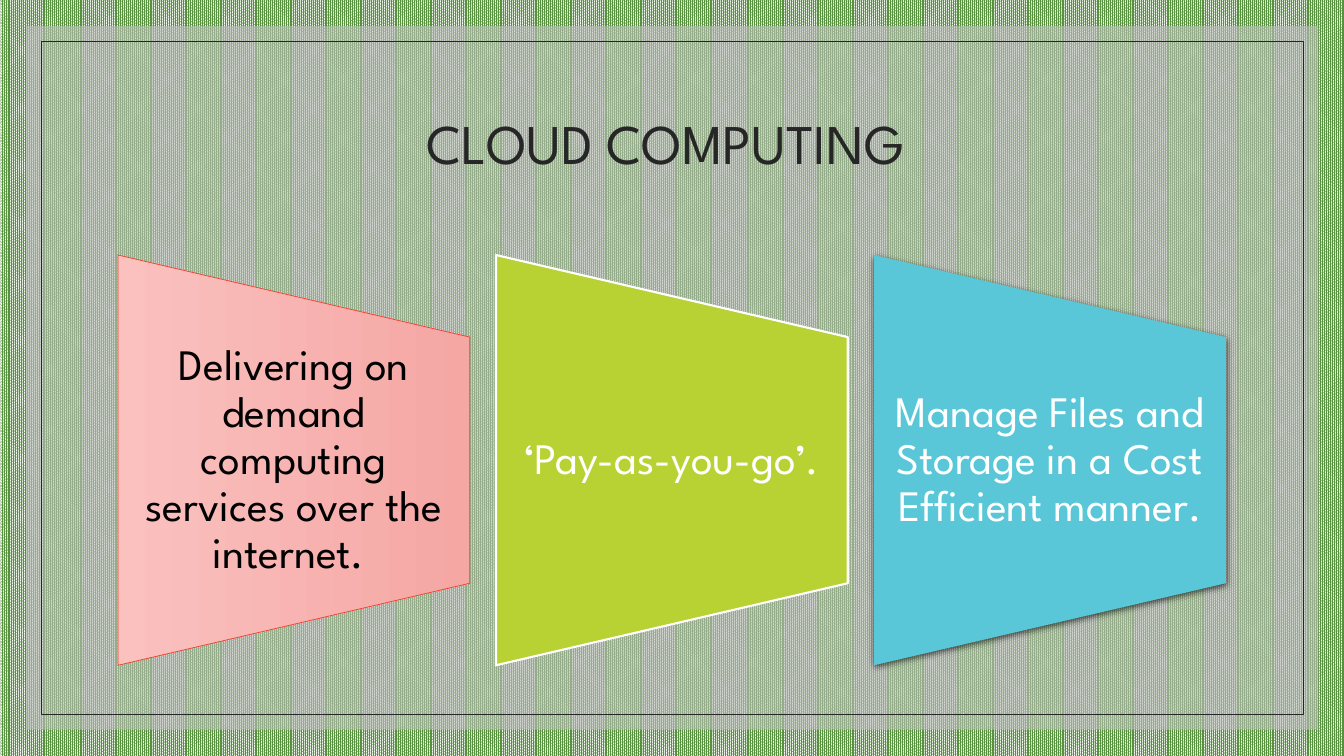
from lxml import etree
from pptx import Presentation
from pptx.dml.color import RGBColor
from pptx.enum.dml import MSO_PATTERN
from pptx.enum.shapes import MSO_SHAPE as Preset
from pptx.enum.text import MSO_ANCHOR as Anchor, PP_ALIGN as Align
from pptx.oxml import parse_xml
from pptx.oxml.ns import nsdecls, qn
from pptx.util import Inches, Pt

FONT = "League Spartan"
INK = "262626"
CARDS = [
    ("Delivering on demand computing services over the internet. ",
     "000000", ["FAC1BF", "F5A7A4"], ("F03F2B", 0.5), False),
    ("\u2018Pay-as-you-go\u2019.",
     "FFFFFF", ["B8D233"], ("FFFFFF", 1.5), False),
    ("Manage Files and Storage in a Cost Efficient manner.",
     "FFFFFF", ["59C7D8"], None, True),
]


def paint(target, color):
    target.rgb = RGBColor.from_string(color)


def add_preset(page, preset, box, colors=(), line=None):
    shape = page.shapes.add_shape(preset, *map(Inches, box))
    shape.shadow.inherit = False
    if len(colors) == 2:
        shape.fill.gradient()
        shape.fill.gradient_angle = 270
        for stop, color in zip(shape.fill.gradient_stops, colors):
            paint(stop.color, color)
    elif colors:
        shape.fill.solid()
        paint(shape.fill.fore_color, colors[0])
    else:
        shape.fill.background()
    if line:
        color, width = line
        paint(shape.line.color, color)
        shape.line.width = Pt(width)
    else:
        shape.line.fill.background()
    return shape


def add_text(page, box, text, size, color, side=0.1):
    frame = page.shapes.add_textbox(*map(Inches, box)).text_frame
    frame.word_wrap = True
    frame.vertical_anchor = Anchor.MIDDLE
    frame.margin_left = frame.margin_right = Inches(side)
    frame.margin_top = frame.margin_bottom = 0
    para = frame.paragraphs[0]
    para.text = text
    para.alignment = Align.CENTER
    para.line_spacing = 0.9
    para.font.name = FONT
    para.font.size = Pt(size)
    paint(para.font.color, color)


def add_shadow(shape):
    effects = shape.element.spPr.find(qn("a:effectLst"))
    effects.append(parse_xml(
        f'<a:outerShdw {nsdecls("a")} blurRad="{Pt(4.5)}" dist="{Pt(1.5)}" '
        'dir="5400000" rotWithShape="0"><a:srgbClr val="000000">'
        '<a:alpha val="63000"/></a:srgbClr></a:outerShdw>'))


def add_backdrop(page, box):
    fill = page.background.fill
    fill.patterned()
    fill.pattern = MSO_PATTERN.PERCENT_90
    paint(fill.fore_color, "57903F")
    paint(fill.back_color, "FFFFFF")
    panel = add_preset(page, Preset.RECTANGLE, box, ["BFBFBF"])
    tint = panel.element.spPr.find(qn("a:solidFill"))[0]
    etree.SubElement(tint, qn("a:alpha"), val="60000")
    left, top, width, height = box
    inset = 0.15
    frame = (left + inset, top + inset, width - 2 * inset, height - 2 * inset)
    add_preset(page, Preset.RECTANGLE, frame, line=(INK, 0.5))


def add_card(page, box, text, text_color, colors, line, shadowed):
    left, top, width, height = box
    turned = (left + (width - height) / 2, top + (height - width) / 2, height, width)
    shape = add_preset(page, Preset.FLOWCHART_MANUAL_OPERATION, turned, colors, line)
    shape.rotation = 270
    if shadowed:
        add_shadow(shape)
    text_box = (left, top + height / 5, width, height * 3 / 5)
    add_text(page, text_box, text, 31, text_color, side=0.2)


def add_cards(page, box):
    left, top, width, height = box
    gap = 0.26
    card_width = (width - gap * (len(CARDS) - 1)) / len(CARDS)
    for index, card in enumerate(CARDS):
        card_left = left + index * (card_width + gap)
        add_card(page, (card_left, top, card_width, height), *card)


deck = Presentation()
deck.slide_width, deck.slide_height = Inches(13.333), Inches(7.5)
page = deck.slides.add_slide(deck.slide_layouts[6])
add_backdrop(page, (0.26, 0.26, 12.82, 6.98))
add_text(page, (1.17, 0.7, 11, 1.5), "CLOUD COMPUTING ", 40, INK)
add_cards(page, (1.17, 2.53, 10.99, 4.07))
deck.save("out.pptx")
